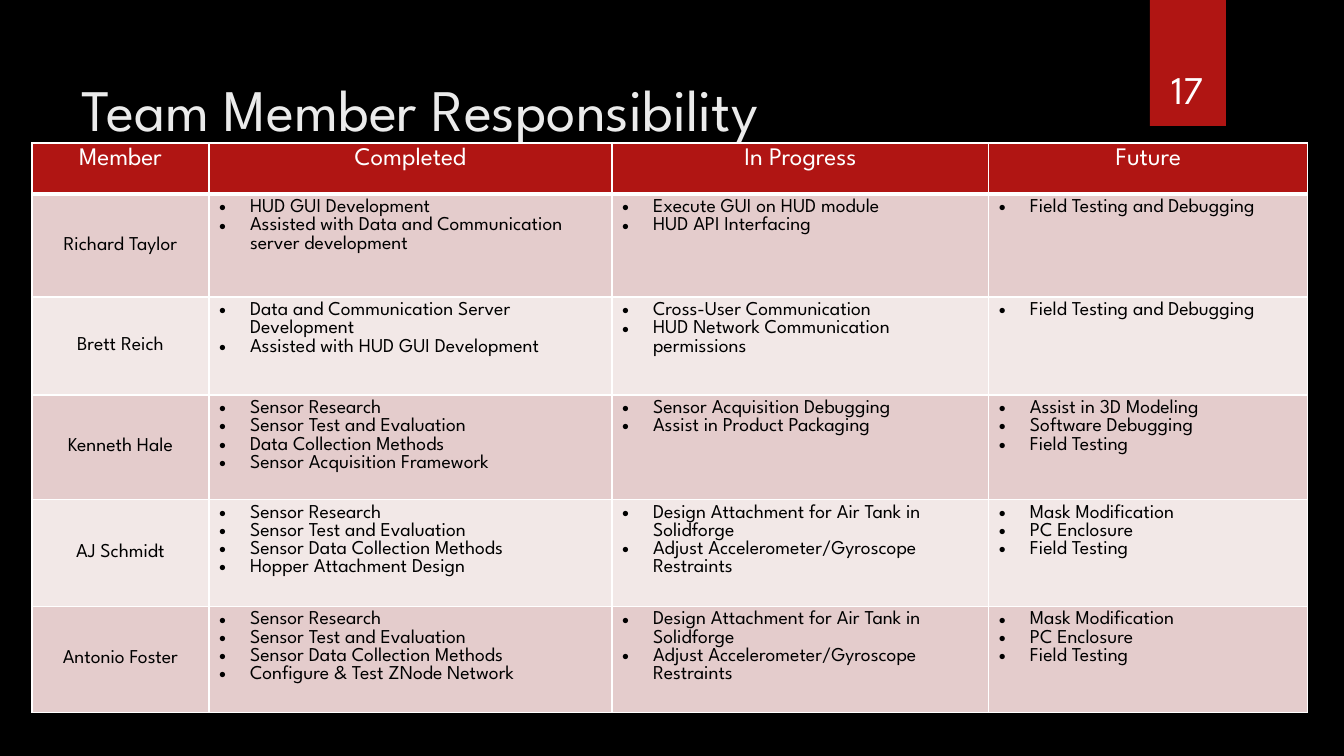
"""Build the Team Member Responsibility slide."""
from lxml import etree
from pptx import Presentation
from pptx import util as u
from pptx.dml.color import RGBColor
from pptx.enum import shapes, text
from pptx.oxml import ns

SCALE = 12192000 / 1344
FONT = "League Spartan"
COLORS = {
    "background": "000000", "accent": "B01513", "title": "EBEBEB",
    "white": "FFFFFF", "ink": "000000", "odd": "E4CCCC", "even": "F2E8E7",
}
COLUMNS = [177, 403, 377, 319]
ROWS = [51, 103, 98, 104, 107, 106]
HEADINGS = ["Member", "Completed", "In Progress", "Future"]
SENSOR_TASKS = ["Sensor Research", "Sensor Test and Evaluation"]
DATA_TASKS = SENSOR_TASKS + ["Sensor Data Collection Methods"]
DESIGN_TASKS = ["Design Attachment for Air Tank in Solidforge",
                "Adjust Accelerometer/Gyroscope Restraints"]
MASK_TASKS = ["Mask Modification", "PC Enclosure", "Field Testing"]
TESTING = ["Field Testing and Debugging"]
MEMBERS = [
    ("Richard Taylor",
     ["HUD GUI Development",
      "Assisted with Data and Communication server development"],
     ["Execute GUI on HUD module", "HUD API Interfacing"],
     TESTING),
    ("Brett Reich",
     ["Data and Communication Server Development",
      "Assisted with HUD GUI Development"],
     ["Cross-User Communication", "HUD Network Communication permissions"],
     TESTING),
    ("Kenneth Hale",
     SENSOR_TASKS + ["Data Collection Methods", "Sensor Acquisition Framework"],
     ["Sensor Acquisition Debugging", "Assist in Product Packaging"],
     ["Assist in 3D Modeling", "Software Debugging", "Field Testing"]),
    ("AJ Schmidt", DATA_TASKS + ["Hopper Attachment Design"],
     DESIGN_TASKS, MASK_TASKS),
    ("Antonio Foster", DATA_TASKS + ["Configure & Test ZNode Network"],
     DESIGN_TASKS, MASK_TASKS),
]


def px(length):
    """Turn pixels into EMU."""
    return u.Emu(round(length * SCALE))


def rgb(name):
    """Look up a named colour."""
    return RGBColor.from_string(COLORS[name])


def write(frame, lines, size, color, centered=False, bulleted=False):
    """Fill a text frame with one paragraph per line."""
    frame.word_wrap = True
    for index, line in enumerate(lines):
        paragraph = frame.add_paragraph() if index else frame.paragraphs[0]
        paragraph.text = line
        if centered:
            paragraph.alignment = text.PP_ALIGN.CENTER
        if bulleted:
            properties = paragraph._p.get_or_add_pPr()
            properties.set("marL", str(px(31)))
            properties.set("indent", str(-px(31)))
            etree.SubElement(properties, ns.qn("a:buFont"), typeface="Arial")
            etree.SubElement(properties, ns.qn("a:buChar"), char="•")
        paragraph.font.name = FONT
        paragraph.font.size = u.Pt(size)
        paragraph.font.color.rgb = rgb(color)


def add_title(slide, left, top, width, height):
    """Place the slide title in its box."""
    title = slide.shapes.add_textbox(px(left), px(top), px(width), px(height))
    title.text_frame.margin_top = px(23)
    write(title.text_frame, ["Team Member Responsibility"], 42, "title")


def add_page_tab(slide, left, top, width, height):
    """Place the red tab and the page number near its foot."""
    tab = slide.shapes.add_shape(shapes.MSO_SHAPE.RECTANGLE, px(left), px(top),
                                 px(width), px(height))
    tab.shadow.inherit = False
    tab.fill.solid()
    tab.fill.fore_color.rgb = rgb("accent")
    tab.line.fill.background()
    number = slide.shapes.add_textbox(px(left - 9), px(top + 32),
                                      px(width + 17), px(height - 41))
    number.text_frame.vertical_anchor = text.MSO_ANCHOR.BOTTOM
    write(number.text_frame, ["17"], 28, "white", centered=True)


def style_cell(cell, color, bottom=1):
    """Fill a cell and rule its four sides in white."""
    cell.fill.solid()
    cell.fill.fore_color.rgb = rgb(color)
    properties = cell._tc.get_or_add_tcPr()
    for index, side in enumerate("LRTB"):
        line = etree.Element(ns.qn(f"a:ln{side}"),
                             w=str(u.Pt(bottom if side == "B" else 1)))
        fill = etree.SubElement(line, ns.qn("a:solidFill"))
        etree.SubElement(fill, ns.qn("a:srgbClr"), val=COLORS["white"])
        properties.insert(index, line)


def add_responsibilities(slide, left, top):
    """Place the table of members and their tasks."""
    table = slide.shapes.add_table(len(ROWS), len(COLUMNS), px(left), px(top),
                                   px(sum(COLUMNS)), px(sum(ROWS))).table
    for column, width in zip(table.columns, COLUMNS):
        column.width = px(width)
    for row, height in zip(table.rows, ROWS):
        row.height = px(height)
    for column, heading in enumerate(HEADINGS):
        cell = table.cell(0, column)
        style_cell(cell, "accent", bottom=3)
        write(cell.text_frame, [heading], 18, "white", centered=True)
    for row, (member, *stages) in enumerate(MEMBERS, 1):
        band = "odd" if row % 2 else "even"
        name = table.cell(row, 0)
        style_cell(name, band)
        name.vertical_anchor = text.MSO_ANCHOR.MIDDLE
        write(name.text_frame, [member], 14, "ink", centered=True)
        for column, tasks in enumerate(stages, 1):
            cell = table.cell(row, column)
            style_cell(cell, band)
            write(cell.text_frame, tasks, 14, "ink", bulleted=True)


def main():
    """Assemble and save the slide."""
    deck = Presentation()
    deck.slide_width, deck.slide_height = px(1344), px(756)
    slide = deck.slides.add_slide(deck.slide_layouts[6])
    slide.background.fill.solid()
    slide.background.fill.fore_color.rgb = rgb("background")
    add_page_tab(slide, 1150, 0, 76, 126)
    add_title(slide, 72, 50, 1037, 154)
    add_responsibilities(slide, 32, 143)
    deck.save("out.pptx")


if __name__ == "__main__":
    main()
